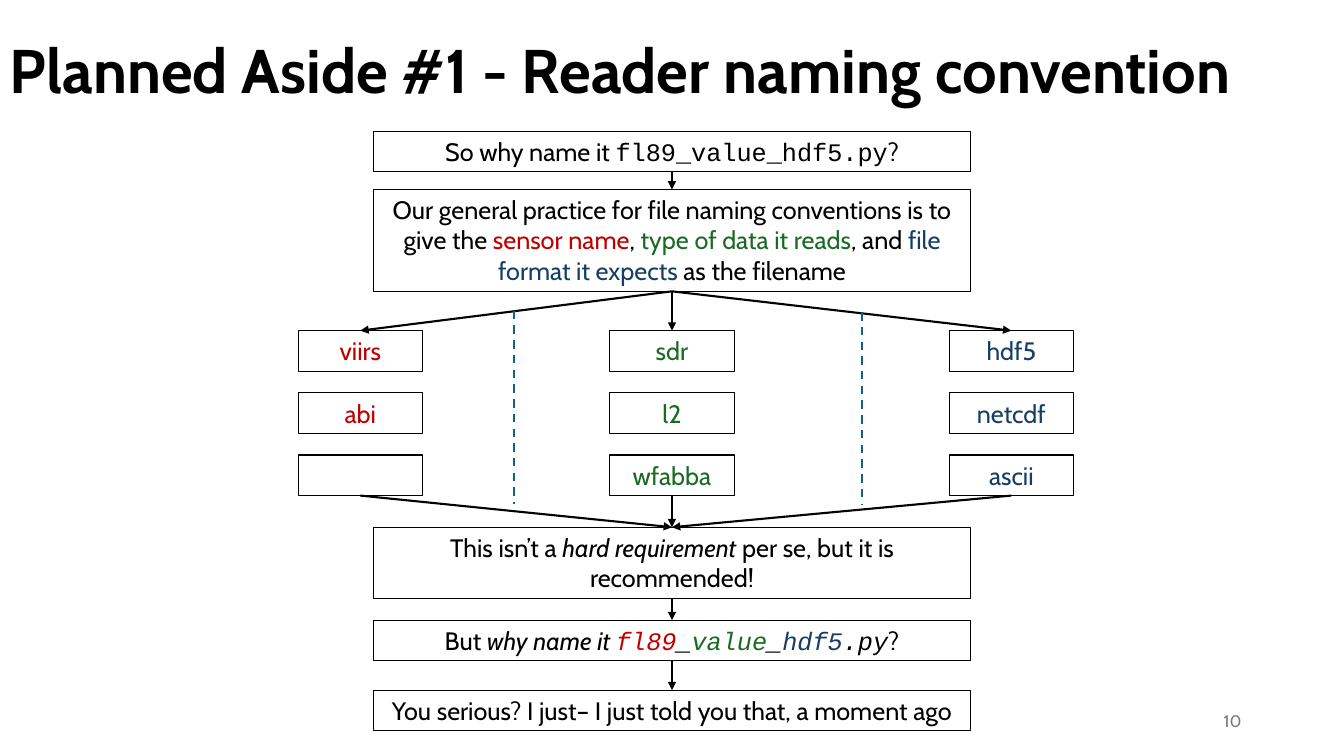
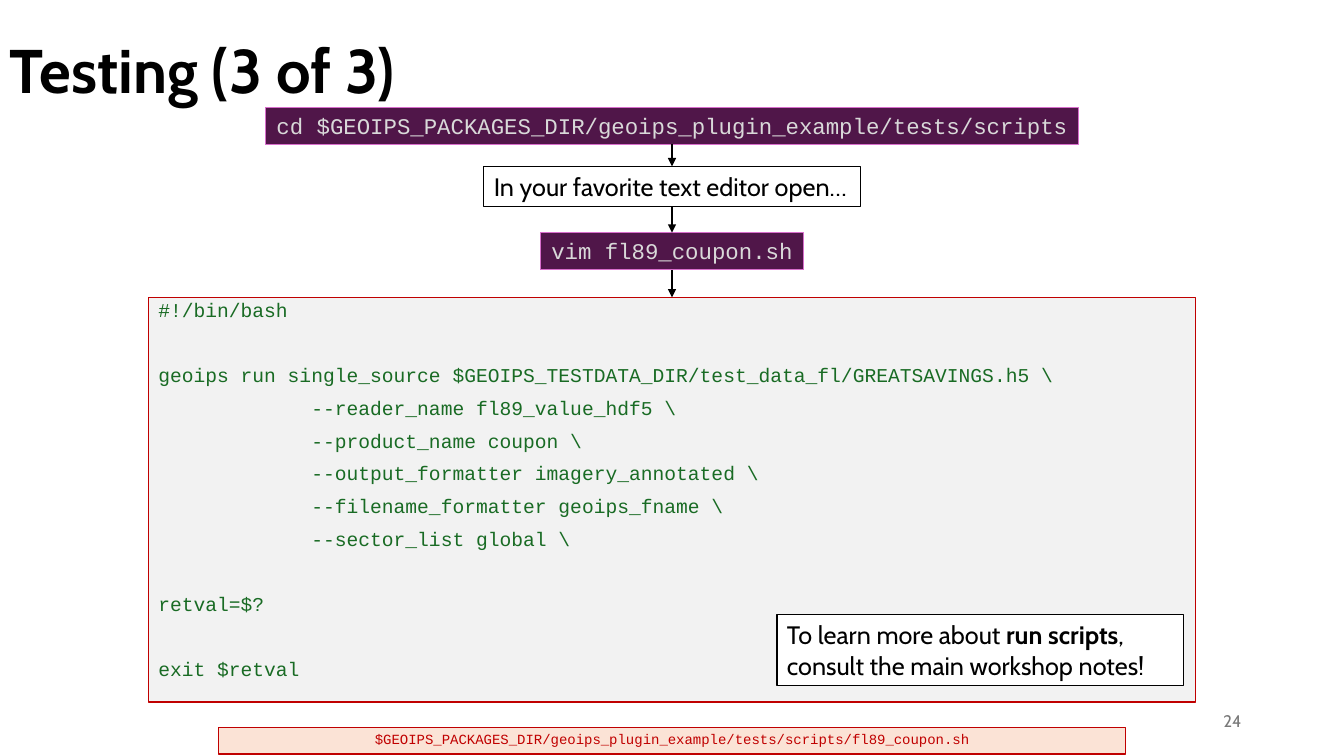
"""Build two workshop slides on reader naming and test scripts."""
from dataclasses import dataclass

from lxml.etree import SubElement
from pptx import Presentation
from pptx.dml.color import RGBColor
from pptx.enum.dml import MSO_LINE_DASH_STYLE as Dash
from pptx.enum.shapes import MSO_CONNECTOR_TYPE as Connector, MSO_SHAPE as Shape
from pptx.enum.text import MSO_ANCHOR as Anchor, PP_ALIGN as Align
from pptx.oxml.ns import qn
from pptx.util import Pt


@dataclass(frozen=True)
class Theme:
    """Colours, fonts and type sizes of the deck."""
    sans: str = "Cabin"
    mono: str = "Courier New"
    black: str = "000000"
    white: str = "FFFFFF"
    grey: str = "797979"
    red: str = "C00000"
    green: str = "196B24"
    blue: str = "163E64"
    teal: str = "156082"
    plum: str = "501649"
    orchid: str = "D86ECC"
    silver: str = "D9D9D9"
    paper: str = "F2F2F2"
    peach: str = "FBE3D6"
    title_size: int = 44
    body_size: int = 18
    command_size: int = 16
    code_size: int = 14
    small_size: int = 12
    file_size: int = 10


THEME = Theme()
TOP_SITE, BOTTOM_SITE = 0, 2
MIDDLE = 480


class SlideMaker:
    """Hold the theme and the current slide, and draw each kind of element."""

    def __init__(self, theme):
        self.theme = theme
        self.deck = Presentation()
        self.deck.slide_width, self.deck.slide_height = Pt(960), Pt(540)
        self.page = None

    def add_page(self, title, number, title_width):
        """Start a slide with its title and number."""
        theme = self.theme
        self.page = self.deck.slides.add_slide(self.deck.slide_layouts[6])
        heading = self.label((0, 0, title_width, 104.4), title, theme.title_size, theme.black)
        heading.font.bold = True
        heading.line_spacing = 0.9
        footer = self.label((678, 500, 216, 29), number, theme.small_size, theme.grey)
        footer.alignment = Align.RIGHT

    def label(self, bounds, text, size, color):
        """Add a plain text box and return its paragraph."""
        frame = self.page.shapes.add_textbox(*map(Pt, bounds)).text_frame
        frame.word_wrap = True
        frame.vertical_anchor = Anchor.MIDDLE
        para = frame.paragraphs[0]
        self.set_text(para, [text], self.theme.sans, size, color)
        return para

    def set_text(self, para, spans, name, size, color):
        """Fill a paragraph with strings or (text, style) pairs."""
        para.font.name, para.font.size = name, Pt(size)
        para.font.color.rgb = RGBColor.from_string(color)
        for item in spans:
            text, style = (item, {}) if isinstance(item, str) else item
            span = para.add_run()
            span.text = text
            if "name" in style:
                span.font.name = style["name"]
            if "color" in style:
                span.font.color.rgb = RGBColor.from_string(style["color"])
            span.font.bold = style.get("bold")
            span.font.italic = style.get("italic")

    def panel(self, bounds, fill, line, weight=0.75):
        """Add an outlined rectangle, unfilled when fill is None."""
        box = self.page.shapes.add_shape(Shape.RECTANGLE, *map(Pt, bounds))
        box.shadow.inherit = False
        if fill:
            box.fill.solid()
            box.fill.fore_color.rgb = RGBColor.from_string(fill)
        else:
            box.fill.background()
        box.line.color.rgb = RGBColor.from_string(line)
        box.line.width = Pt(weight)
        box.text_frame.word_wrap = True
        box.text_frame.vertical_anchor = Anchor.TOP
        return box

    def note(self, bounds, *spans, color=None, fill=None, align=Align.CENTER):
        """Add a black-edged box of body text."""
        theme = self.theme
        box = self.panel(bounds, fill, theme.black)
        para = box.text_frame.paragraphs[0]
        para.alignment = align
        self.set_text(para, spans, theme.sans, theme.body_size, color or theme.black)
        return box

    def command(self, top, width, text):
        """Add a centred terminal command."""
        theme = self.theme
        box = self.panel((MIDDLE - width / 2, top, width, 26.6), theme.plum, theme.orchid)
        box.text_frame.word_wrap = False
        para = box.text_frame.paragraphs[0]
        para.alignment = Align.CENTER
        self.set_text(para, [text], theme.mono, theme.command_size, theme.silver)
        return box

    def code(self, bounds, blocks):
        """Add a listing whose blocks are set apart by wider spacing."""
        theme = self.theme
        box = self.panel(bounds, theme.paper, theme.red, 1)
        frame = box.text_frame
        for block_index, block in enumerate(blocks):
            for line_index, text in enumerate(block):
                first = block_index == line_index == 0
                para = frame.paragraphs[0] if first else frame.add_paragraph()
                para.alignment = Align.LEFT
                para.line_spacing = 0.8
                if not first:
                    para.space_before = Pt(10 if line_index else 33)
                self.set_text(para, [text], theme.mono, theme.code_size, theme.green)
        return box

    def file_name(self, bounds, text):
        """Add the strip that names the listed file."""
        theme = self.theme
        box = self.panel(bounds, theme.peach, theme.red, 1)
        para = box.text_frame.paragraphs[0]
        para.alignment = Align.CENTER
        para.line_spacing = 0.9
        self.set_text(para, [text], theme.mono, theme.file_size, theme.red)

    def line(self, start, end, color):
        """Add a straight line and return it."""
        line = self.page.shapes.add_connector(Connector.STRAIGHT, *map(Pt, start + end))
        line.line.color.rgb = RGBColor.from_string(color)
        line.line.width = Pt(1.5)
        SubElement(line._element.spPr, qn("a:effectLst"))
        return line

    def divider(self, x, top, bottom):
        """Add a dashed vertical line."""
        self.line((x, top), (x, bottom), self.theme.teal).line.dash_style = Dash.DASH

    def arrow(self, source, target):
        """Join the bottom of one box to the top of another."""
        arrow = self.line((0, 0), (0, 0), self.theme.black)
        arrow.begin_connect(source, BOTTOM_SITE)
        arrow.end_connect(target, TOP_SITE)
        outline = arrow._element.spPr.find(qn("a:ln"))
        SubElement(outline, qn("a:tailEnd"), type="triangle")

    def chain(self, *boxes):
        """Join boxes one after another."""
        for source, target in zip(boxes, boxes[1:]):
            self.arrow(source, target)


def naming_page(maker):
    """Draw the flow that explains reader file names."""
    theme = maker.theme
    red, green, blue = ({"color": color} for color in (theme.red, theme.green, theme.blue))
    italic = {"italic": True}
    mono = {"name": theme.mono}
    slanted = mono | italic

    def step(top, height, *spans):
        return maker.note((266.5, top, 427, height), *spans)

    maker.add_page("Planned Aside #1 - Reader naming convention", "10", 936)
    question = step(93.8, 29, "So why name it ", ("fl89_value_hdf5.py", mono), "?")
    practice = step(135.4, 72.7,
                    "Our general practice for file naming conventions is to give the ",
                    ("sensor name", red), ", ", ("type of data it reads", green), ", and ",
                    ("file format it expects ", blue), "as the filename")
    advice = step(376.6, 51, "This isn’t a ", ("hard requirement", italic),
                  " per se, but it is recommended!")
    repeat = step(443, 29, "But ", ("why name it ", italic), ("fl89", slanted | red),
                  ("_", slanted), ("value", slanted | green), ("_", slanted),
                  ("hdf5", slanted | blue), (".py", slanted), "?")
    answer = step(493, 29, "You serious? I just– I just told you that, a moment ago")

    columns = (
        (213, theme.red, ("viirs", "abi", "")),
        (435.6, theme.green, ("sdr", "l2", "wfabba")),
        (678, theme.blue, ("hdf5", "netcdf", "ascii")),
    )
    for left, color, words in columns:
        examples = [
            maker.note((left, 236.2 + 44.4 * row, 88.8, 29), *filter(None, [word]), color=color)
            for row, word in enumerate(words)
        ]
        maker.arrow(practice, examples[0])
        maker.arrow(examples[-1], advice)
    maker.divider(367, 222, 360)
    maker.divider(615.6, 223, 361)
    maker.chain(question, practice)
    maker.chain(advice, repeat, answer)


def testing_page(maker):
    """Draw the steps that open the test script, and its listing."""
    theme = maker.theme
    maker.add_page("Testing (3 of 3)", "24", 828)
    folder = maker.command(76.6, 580.4, "cd $GEOIPS_PACKAGES_DIR/geoips_plugin_example/tests/scripts")
    editor = maker.note((345.6, 118.8, 268.8, 29), "In your favorite text editor open…",
                        align=Align.LEFT)
    opening = maker.command(166.2, 188, "vim fl89_coupon.sh")
    indent = " " * 13
    options = ("reader_name fl89_value_hdf5", "product_name coupon",
               "output_formatter imagery_annotated", "filename_formatter geoips_fname",
               "sector_list global")
    call = ["geoips run single_source $GEOIPS_TESTDATA_DIR/test_data_fl/GREATSAVINGS.h5 \\"]
    call += [f"{indent}--{option} \\" for option in options]
    listing = maker.code((106, 212.4, 748, 289.2),
                         (["#!/bin/bash"], call, ["retval=$?"], ["exit $retval"]))
    maker.chain(folder, editor, opening, listing)
    maker.file_name((156, 519.6, 648, 19),
                    "$GEOIPS_PACKAGES_DIR/geoips_plugin_example/tests/scripts/fl89_coupon.sh")
    maker.note((555, 439, 290.4, 51), "To learn more about ", ("run scripts", {"bold": True}),
               ", consult the main workshop notes!", fill=theme.white, align=Align.LEFT)


def main():
    """Build and save the deck."""
    maker = SlideMaker(THEME)
    naming_page(maker)
    testing_page(maker)
    maker.deck.save("out.pptx")


if __name__ == "__main__":
    main()
